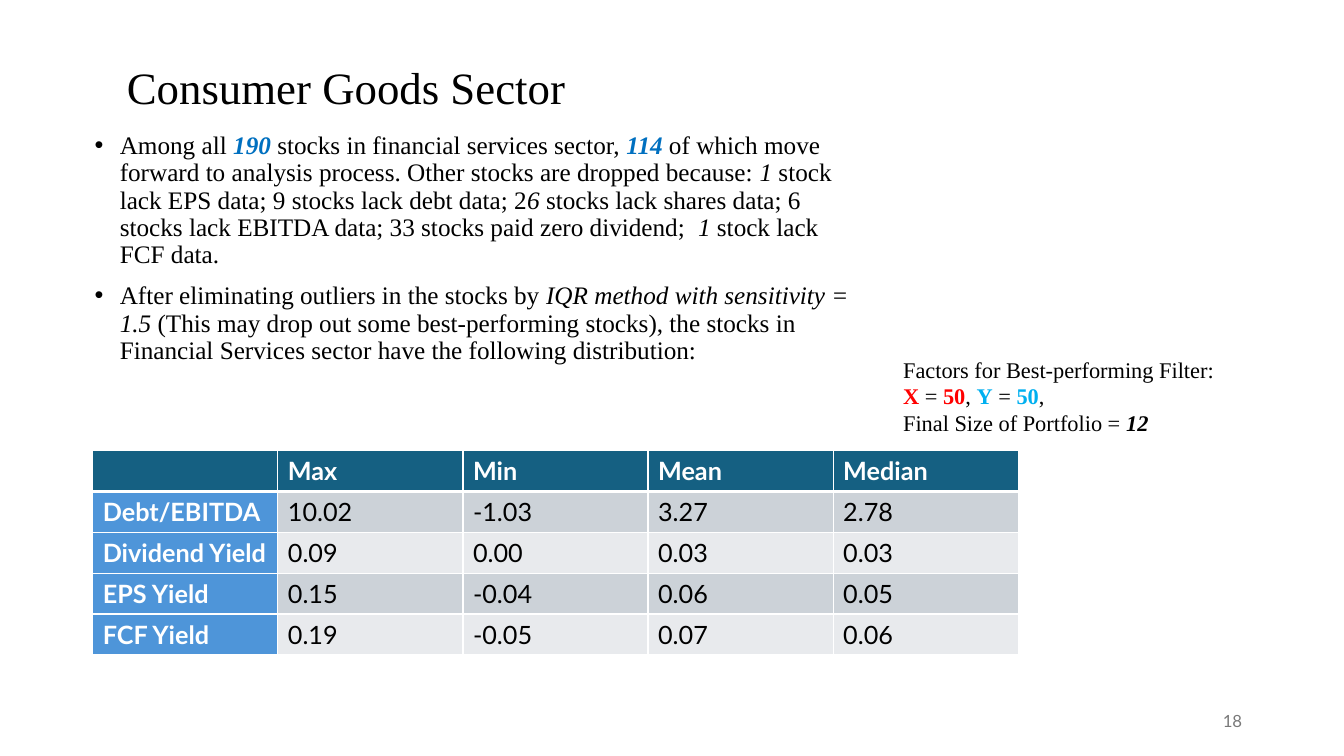
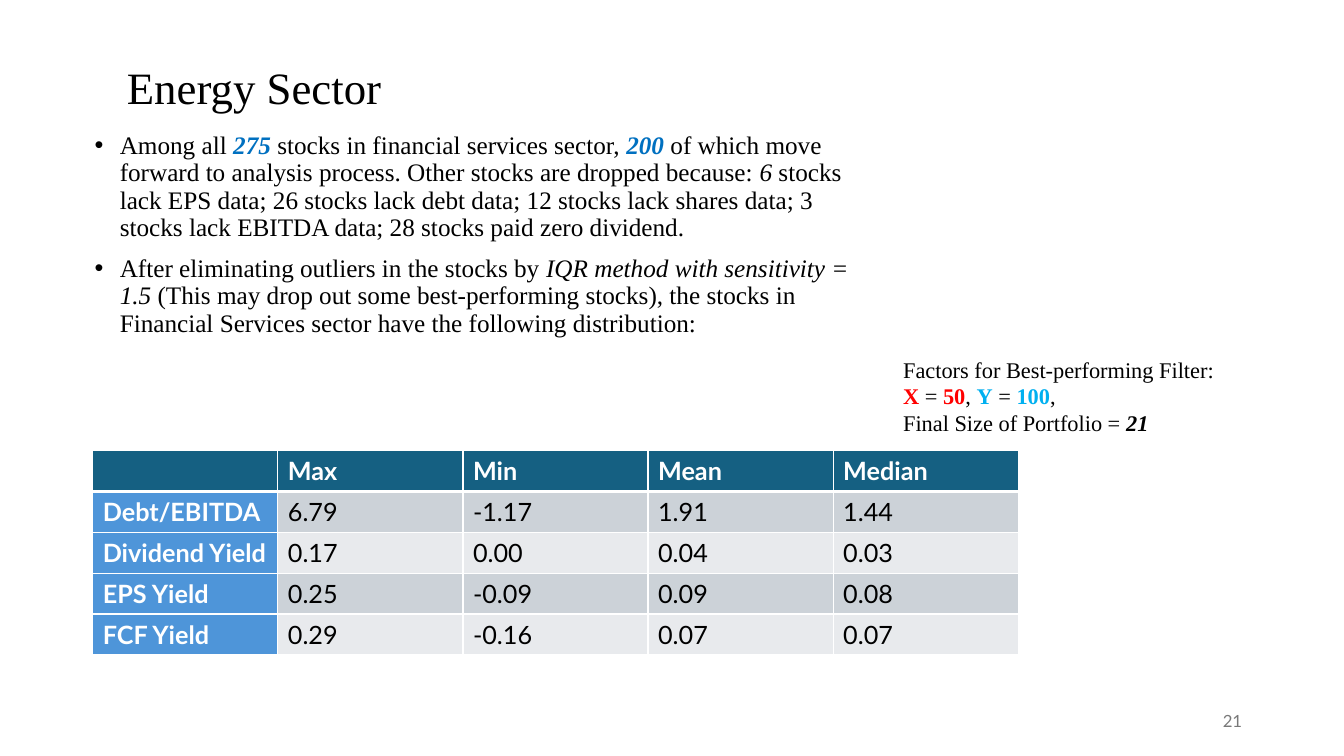
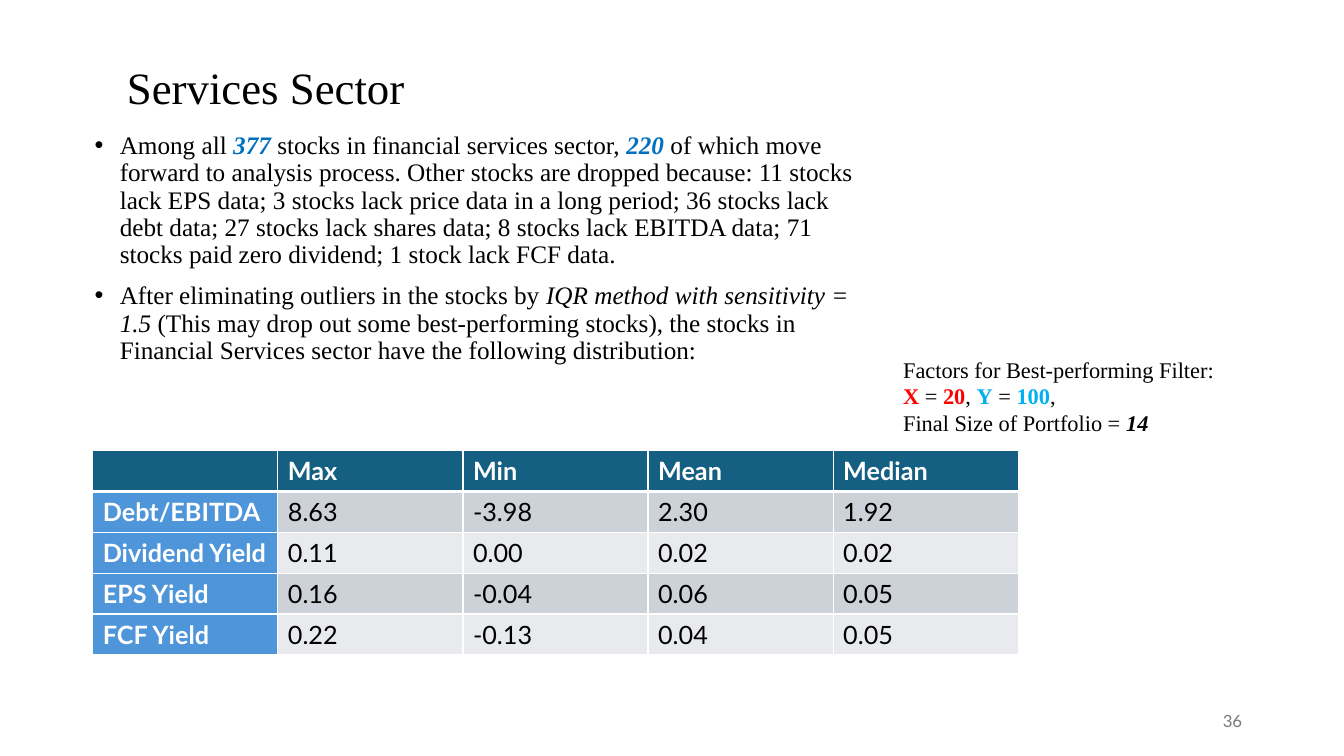
"""Build the sector summary slides with their distribution tables."""
from dataclasses import dataclass

from lxml import etree
from pptx import Presentation
from pptx import util as u
from pptx.dml.color import RGBColor
from pptx.enum import text
from pptx.oxml import ns

COLOURS = {
    "ink": "000000",
    "paper": "FFFFFF",
    "count": "0070C0",
    "x": "FF0000",
    "y": "00B0F0",
    "number": "797979",
    "header": "156082",
    "label": "4E95D9",
    "odd": "CCD2D8",
    "even": "E8EAED",
}
SERIF, SANS = "Times New Roman", "Lato"
WIDTH, HEIGHT = u.Inches(13.33), u.Inches(7.5)
COLUMNS = ("", "Max", "Min", "Mean", "Median")
MEASURES = ("Debt/EBITDA", "Dividend Yield", "EPS Yield", "FCF Yield")
ROW_HEIGHT = u.Pt(29.2)
THIN, THICK = u.Pt(1), u.Pt(3)


@dataclass(frozen=True)
class Area:
    """A rectangle in percent of the slide's width and height."""

    left: float
    top: float
    width: float
    height: float

    def lengths(self) -> tuple[int, int, int, int]:
        """Return left, top, width and height as slide lengths."""
        return (
            int(WIDTH * self.left / 100),
            int(HEIGHT * self.top / 100),
            int(WIDTH * self.width / 100),
            int(HEIGHT * self.height / 100),
        )


@dataclass(frozen=True)
class Span:
    """A stretch of text in one style."""

    words: str
    colour: str = "ink"
    bold: bool = False
    italic: bool = False


@dataclass(frozen=True)
class Style:
    """The look shared by all paragraphs of a text box."""

    font: str
    size: float
    align: text.PP_ALIGN = text.PP_ALIGN.LEFT
    anchor: text.MSO_ANCHOR = text.MSO_ANCHOR.TOP
    line: float = 1.0
    before: float = 0
    bullet: bool = False
    fit: text.MSO_AUTO_SIZE = text.MSO_AUTO_SIZE.NONE


@dataclass(frozen=True)
class Sector:
    """The content of one slide."""

    title: str
    number: int
    total: int
    kept: int
    reasons: tuple[Span, ...]
    x: int
    y: int
    portfolio: int
    rows: tuple[str, ...]


TITLE_AREA = Area(8.7, 2, 36.75, 19.73)
BODY_AREA = Area(6.3, 16.93, 57.98, 39.33)
FACTORS_AREA = Area(66.46, 46.4, 26.7, 12.13)
TABLE_AREA = Area(6.9, 59.6, 68.87, 27)
NUMBER_AREA = Area(70.67, 92.67, 22.5, 5.33)

TITLE = Style(SERIF, 32, anchor=text.MSO_ANCHOR.MIDDLE, line=0.9)
BODY = Style(SERIF, 18, line=0.9, before=10, bullet=True)
FACTORS = Style(SERIF, 16, fit=text.MSO_AUTO_SIZE.SHAPE_TO_FIT_TEXT)
NUMBER = Style(SANS, 12, text.PP_ALIGN.RIGHT, text.MSO_ANCHOR.MIDDLE)
CELL = Style(SANS, 18)

SECTORS = (
    Sector(
        "Consumer Goods Sector", 18, 190, 114,
        (
            Span("1", italic=True),
            Span(" stock lack EPS data; 9 stocks lack debt data; 2"),
            Span("6", italic=True),
            Span(" stocks lack shares data; 6 stocks lack EBITDA data; "
                 "33 stocks paid zero dividend;  "),
            Span("1", italic=True),
            Span(" stock lack FCF data."),
        ),
        50, 50, 12,
        ("10.02 -1.03 3.27 2.78", "0.09 0.00 0.03 0.03",
         "0.15 -0.04 0.06 0.05", "0.19 -0.05 0.07 0.06"),
    ),
    Sector(
        "Energy Sector", 21, 275, 200,
        (
            Span("6", italic=True),
            Span(" stocks lack EPS data; 26 stocks lack debt data; "
                 "12 stocks lack shares data; 3 stocks lack EBITDA data; "
                 "28 stocks paid zero dividend."),
        ),
        50, 100, 21,
        ("6.79 -1.17 1.91 1.44", "0.17 0.00 0.04 0.03",
         "0.25 -0.09 0.09 0.08", "0.29 -0.16 0.07 0.07"),
    ),
    Sector(
        "Services Sector", 36, 377, 220,
        (
            Span("11 stocks lack EPS data; 3 stocks lack price data in a "
                 "long period; 36 stocks lack debt data; 27 stocks lack "
                 "shares data; 8 stocks lack EBITDA data; 71 stocks paid "
                 "zero dividend; 1 stock lack FCF data."),
        ),
        20, 100, 14,
        ("8.63 -3.98 2.30 1.92", "0.11 0.00 0.02 0.02",
         "0.16 -0.04 0.06 0.05", "0.22 -0.13 0.04 0.05"),
    ),
)


def colour_of(name: str) -> RGBColor:
    """Return the named colour."""
    return RGBColor.from_string(COLOURS[name])


def add_span(para, span: Span, style: Style) -> None:
    """Add one run to a paragraph."""
    run = para.add_run()
    run.text = span.words
    run.font.name = style.font
    run.font.size = u.Pt(style.size)
    run.font.bold = span.bold
    run.font.italic = span.italic
    run.font.color.rgb = colour_of(span.colour)


def add_bullet(para) -> None:
    """Give a paragraph a hanging round bullet."""
    props = para._p.get_or_add_pPr()
    indent = u.Inches(0.25)
    props.set("marL", str(indent))
    props.set("indent", str(-indent))
    etree.SubElement(props, ns.qn("a:buFont")).set("typeface", "Arial")
    etree.SubElement(props, ns.qn("a:buChar")).set("char", "•")


def add_text(page, area: Area, style: Style, *paras: tuple[Span, ...]) -> None:
    """Add a text box holding the given paragraphs."""
    frame = page.shapes.add_textbox(*area.lengths()).text_frame
    frame.word_wrap = True
    frame.auto_size = style.fit
    frame.vertical_anchor = style.anchor
    for index, spans in enumerate(paras):
        para = frame.add_paragraph() if index else frame.paragraphs[0]
        para.alignment = style.align
        para.line_spacing = style.line
        para.space_before = u.Pt(style.before)
        if style.bullet:
            add_bullet(para)
        for span in spans:
            add_span(para, span, style)


def set_borders(cell, top: int, bottom: int) -> None:
    """Draw the four edges of a table cell."""
    props = cell._tc.get_or_add_tcPr()
    edges = {"a:lnL": THIN, "a:lnR": THIN, "a:lnT": top, "a:lnB": bottom}
    for index, (tag, width) in enumerate(edges.items()):
        edge = etree.Element(ns.qn(tag), w=str(width))
        fill = etree.SubElement(edge, ns.qn("a:solidFill"))
        etree.SubElement(fill, ns.qn("a:srgbClr")).set("val", COLOURS["paper"])
        props.insert(index, edge)


def fill_name(row: int, column: int) -> str:
    """Return the fill colour's name for a table position."""
    if row == 0:
        return "header"
    if column == 0:
        return "label"
    return "odd" if row % 2 else "even"


def add_distribution(page, rows: tuple[str, ...]) -> None:
    """Add the table of measures and their statistics."""
    grid = [COLUMNS] + [(name, *row.split()) for name, row in zip(MEASURES, rows)]
    table = page.shapes.add_table(
        len(grid), len(COLUMNS), *TABLE_AREA.lengths()).table
    for row, words in enumerate(grid):
        table.rows[row].height = ROW_HEIGHT
        for column, word in enumerate(words):
            cell = table.cell(row, column)
            cell.fill.solid()
            cell.fill.fore_color.rgb = colour_of(fill_name(row, column))
            set_borders(cell, THICK if row == 1 else THIN,
                        THICK if row == 0 else THIN)
            if word:
                heading = row == 0 or column == 0
                span = Span(word, "paper" if heading else "ink", heading)
                add_span(cell.text_frame.paragraphs[0], span, CELL)


def add_sector(deck, sector: Sector) -> None:
    """Add the slide of one sector."""
    page = deck.slides.add_slide(deck.slide_layouts[6])
    add_text(page, TITLE_AREA, TITLE, (Span(sector.title),))
    add_text(
        page, BODY_AREA, BODY,
        (
            Span("Among all "),
            Span(str(sector.total), "count", True, True),
            Span(" stocks in financial services sector, "),
            Span(str(sector.kept), "count", True, True),
            Span(" of which move forward to analysis process. "
                 "Other stocks are dropped because: "),
            *sector.reasons,
        ),
        (
            Span("After eliminating outliers in the stocks by "),
            Span("IQR method with sensitivity = 1.5 ", italic=True),
            Span("(This may drop out some best-performing stocks), the stocks "
                 "in Financial Services sector have the following "
                 "distribution:"),
        ),
    )
    add_text(page, NUMBER_AREA, NUMBER, (Span(str(sector.number), "number"),))
    add_distribution(page, sector.rows)
    add_text(
        page, FACTORS_AREA, FACTORS,
        (Span("Factors for Best-performing Filter:"),),
        (
            Span("X", "x", True), Span(" = "), Span(str(sector.x), "x", True),
            Span(", "),
            Span("Y", "y", True), Span(" = "), Span(str(sector.y), "y", True),
            Span(","),
        ),
        (
            Span("Final Size of Portfolio = "),
            Span(str(sector.portfolio), bold=True, italic=True),
        ),
    )


def main() -> None:
    """Build and save the deck."""
    deck = Presentation()
    deck.slide_width, deck.slide_height = WIDTH, HEIGHT
    for sector in SECTORS:
        add_sector(deck, sector)
    deck.save("out.pptx")


if __name__ == "__main__":
    main()
